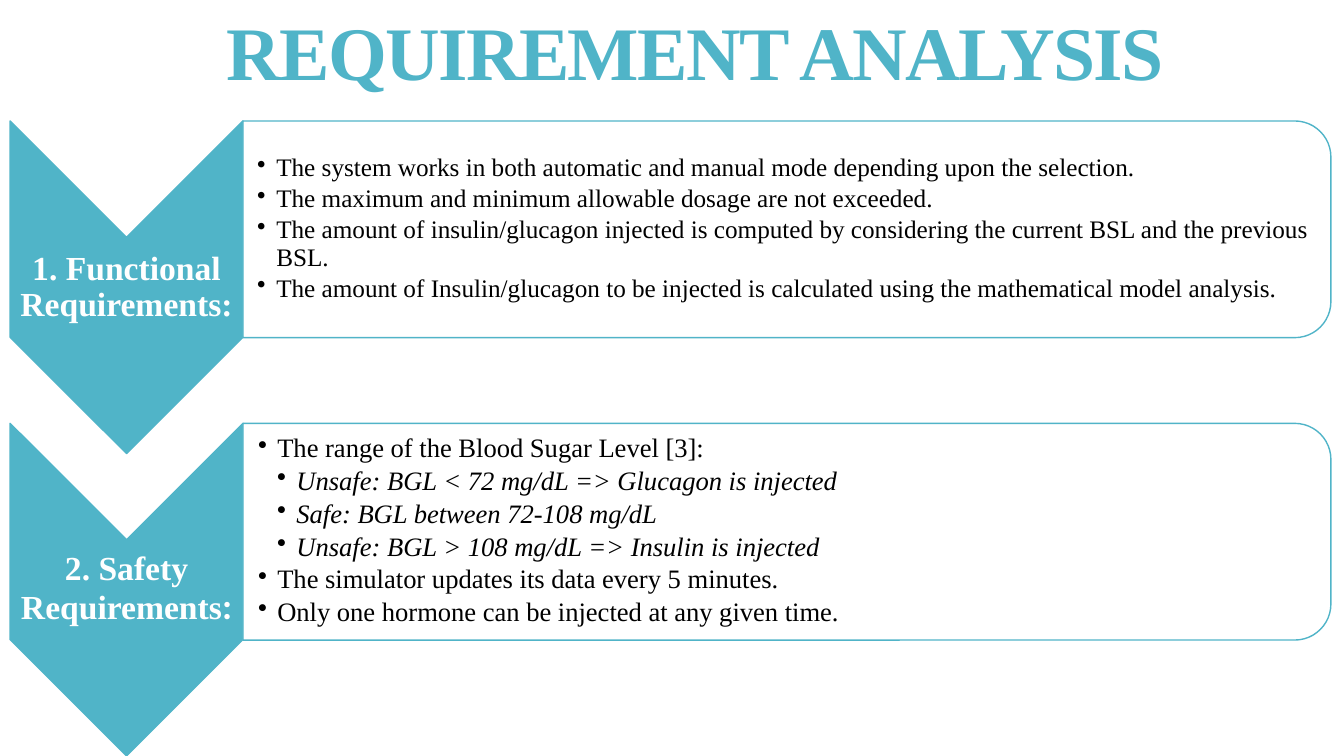
"""Build the requirement analysis slide with two chevron sections."""
from lxml import etree
from pptx import Presentation
from pptx.dml.color import RGBColor
from pptx.enum.shapes import MSO_SHAPE
from pptx.enum.text import MSO_ANCHOR, MSO_AUTO_SIZE, PP_ALIGN
from pptx.oxml.ns import qn
from pptx.util import Inches, Pt

CHEVRON = MSO_SHAPE.CHEVRON
PANEL = MSO_SHAPE.ROUND_2_SAME_RECTANGLE
MIDDLE = MSO_ANCHOR.MIDDLE
CENTER = PP_ALIGN.CENTER
GROW = MSO_AUTO_SIZE.SHAPE_TO_FIT_TEXT

TEAL, WHITE, BLACK = "50B4C8", "FFFFFF", "000000"
SERIF, SANS = "Times New Roman", "Calibri"

TITLE = "REQUIREMENT ANALYSIS"
SECTIONS = [
    {
        "heading": [("1. Functional Requirements:", SERIF, 24)],
        "size": 18,
        "inset": 0.14,
        "bullets": [
            (1, "The system works in both automatic and manual mode depending upon the selection."),
            (1, "The maximum and minimum allowable dosage are not exceeded."),
            (1, "The amount of insulin/glucagon injected is computed by considering "
                "the current BSL and the previous BSL."),
            (1, "The amount of Insulin/glucagon to be injected is calculated using "
                "the mathematical model analysis."),
        ],
    },
    {
        "heading": [("2. Safety Requirements", SERIF, 24), (":", SANS, 26)],
        "size": 19,
        "inset": 0.15,
        "bullets": [
            (1, "The range of the Blood Sugar Level [3]:"),
            (2, "Unsafe: BGL < 72 mg/dL => Glucagon is injected"),
            (2, "Safe: BGL between 72-108 mg/dL"),
            (2, "Unsafe: BGL > 108 mg/dL => Insulin is injected"),
            (1, "The simulator updates its data every 5 minutes."),
            (1, "Only one hormone can be injected at any given time."),
        ],
    },
]

LEFT, TOP, PITCH = 0.1, 1.2, 3.0
CHEVRON_W, CHEVRON_H = 2.31, 3.3
PANEL_W, PANEL_H = 10.79, 2.15
PANEL_LEFT = LEFT + CHEVRON_W
INDENT = 0.19


def rgb(color):
    return RGBColor.from_string(color)


def add_turned(s, kind, x, y, w, h, fill):
    """Add a shape turned by 90 degrees that covers the given visible box."""
    sp = s.shapes.add_shape(kind, Inches(x + (w - h) / 2), Inches(y + (h - w) / 2),
                            Inches(h), Inches(w))
    sp.rotation = 90
    sp.shadow.inherit = False
    sp.fill.solid()
    sp.fill.fore_color.rgb = rgb(fill)
    sp.line.color.rgb = rgb(TEAL)
    sp.line.width = Pt(1)
    return sp


def add_text(s, x, y, w, h, left_inset, inset):
    tf = s.shapes.add_textbox(Inches(x), Inches(y), Inches(w), Inches(h)).text_frame
    tf.word_wrap = True
    tf.vertical_anchor = MIDDLE
    tf.margin_left = Inches(left_inset)
    tf.margin_right = tf.margin_top = tf.margin_bottom = Inches(inset)
    return tf


def add_run(p, text, font, size, color, bold=False, italic=False):
    r = p.add_run()
    r.text = text
    r.font.name = font
    r.font.size = Pt(size)
    r.font.color.rgb = rgb(color)
    r.font.bold = bold
    r.font.italic = italic
    return r


def set_spacing(p, after):
    p.line_spacing = 0.9
    space = etree.SubElement(p._p.get_or_add_pPr(), qn("a:spcAft"))
    etree.SubElement(space, qn("a:spcPct")).set("val", str(after * 1000))


def set_bullet(p, level):
    p.level = level
    pPr = p._p.get_or_add_pPr()
    pPr.set("marL", str(Inches(INDENT * level)))
    pPr.set("indent", str(-Inches(INDENT)))
    etree.SubElement(pPr, qn("a:buChar")).set("char", "•")


def add_section(s, section, y):
    add_turned(s, CHEVRON, LEFT, y, CHEVRON_W, CHEVRON_H, TEAL)
    notch = CHEVRON_W / 2
    tf = add_text(s, LEFT, y + notch, CHEVRON_W, CHEVRON_H - 2 * notch, 0.02, 0.02)
    p = tf.paragraphs[0]
    p.alignment = CENTER
    set_spacing(p, 35)
    for text, font, size in section["heading"]:
        add_run(p, text, font, size, WHITE, bold=True)

    panel = add_turned(s, PANEL, PANEL_LEFT, y, PANEL_W, PANEL_H, WHITE)
    fill = panel._element.spPr.find(qn("a:solidFill"))
    etree.SubElement(fill[0], qn("a:alpha")).set("val", "90000")
    tf = add_text(s, PANEL_LEFT, y + 0.1, 10.68, 1.94, section["inset"], 0.01)
    for i, (level, text) in enumerate(section["bullets"]):
        p = tf.add_paragraph() if i else tf.paragraphs[0]
        set_spacing(p, 15)
        set_bullet(p, level)
        add_run(p, text, SERIF, section["size"], BLACK, italic=level == 2)


def add_title(s):
    tf = s.shapes.add_textbox(Inches(2.15), 0, Inches(9.56), Inches(1.01)).text_frame
    tf.word_wrap = False
    tf.auto_size = GROW
    r = add_run(tf.paragraphs[0], TITLE, SERIF, 54, TEAL, bold=True)
    r._r.get_or_add_rPr().set("spc", "-120")


def main():
    prs = Presentation()
    prs.slide_width, prs.slide_height = Inches(13.33), Inches(7.5)
    s = prs.slides.add_slide(prs.slide_layouts[6])
    for i, section in enumerate(SECTIONS):
        add_section(s, section, TOP + i * PITCH)
    add_title(s)
    prs.save("out.pptx")


if __name__ == "__main__":
    main()
